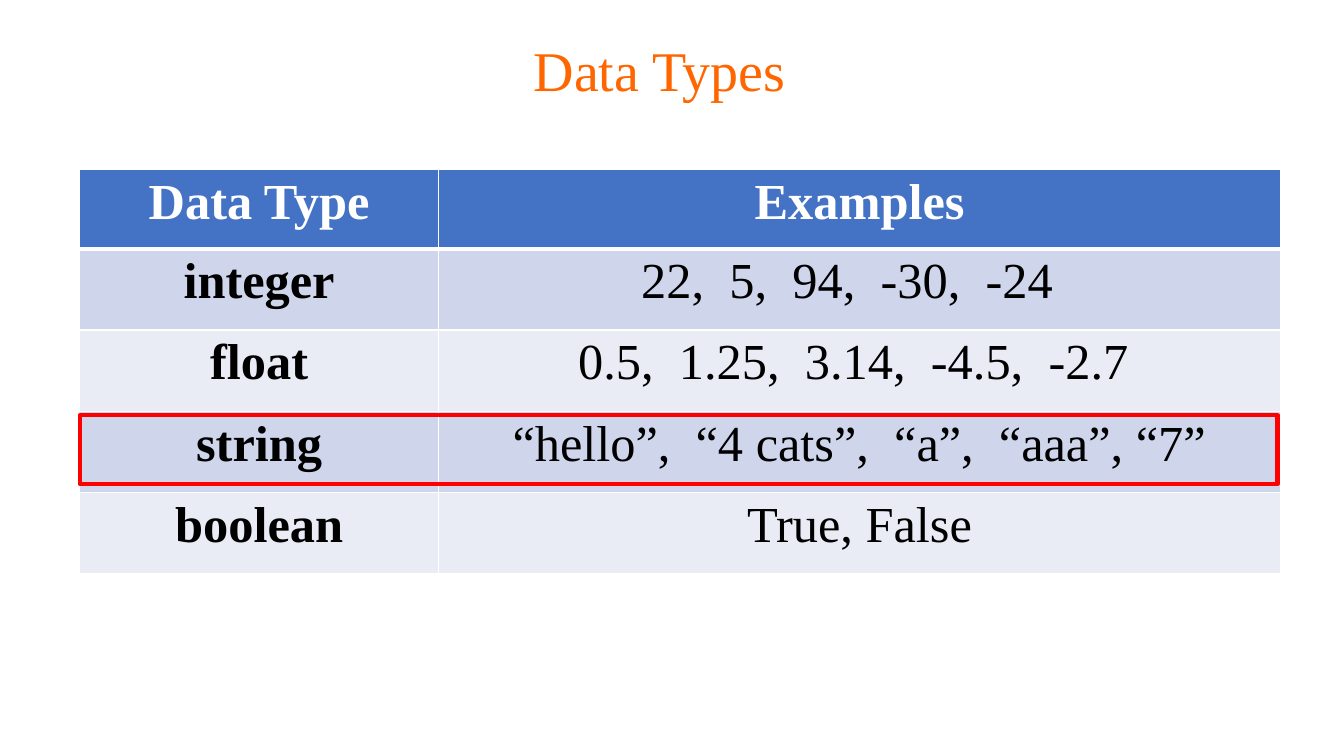
import pptx
import pptx.dml.color
import pptx.enum.shapes
import pptx.enum.text
import pptx.oxml
import pptx.oxml.ns
import pptx.util

# Content
TITLE = "Data Types"
ROWS = [
    ("Data Type", "Examples"),
    ("integer", "22,  5,  94,  -30,  -24  "),
    ("float", "0.5,  1.25,  3.14,  -4.5,  -2.7 "),
    ("string", "“hello”,  “4 cats”,  “a”,  “aaa”, “7”"),
    ("boolean", "True, False"),
]

# Format
COLORS = {
    "title": "FF6600", "header": "4472C4", "odd": "CFD5EA", "even": "E9EBF5",
    "white": "FFFFFF", "text": "000000", "highlight": "FF0000",
}
FONT = "Times New Roman"
TITLE_SIZE, CELL_SIZE = 40, 36

# Grid, in inches
LEFT = 0.79
TABLE_TOP = 1.68
COLUMN_WIDTHS = (3.56, 8.35)
HEADER_HEIGHT, ROW_HEIGHT = 0.79, 0.805
HIGHLIGHT_ROW = 3


def rgb(name):
    return pptx.dml.color.RGBColor.from_string(COLORS[name])


def inches(*values):
    return [pptx.util.Inches(value) for value in values]


def write(text_frame, text, size, color, bold=False):
    text_frame.text = text
    paragraph = text_frame.paragraphs[0]
    paragraph.alignment = pptx.enum.text.PP_ALIGN.CENTER
    font = paragraph.runs[0].font
    formats = {"name": FONT, "size": pptx.util.Pt(size), "bold": bold}
    for attribute, value in formats.items():
        setattr(font, attribute, value)
    font.color.rgb = rgb(color)
    return paragraph


def add_borders(cell, widths):
    properties = cell._tc.get_or_add_tcPr()
    for side, points in widths.items():
        properties.append(pptx.oxml.parse_xml(
            f'<a:ln{side} {pptx.oxml.ns.nsdecls("a")} w="{pptx.util.Pt(points)}">'
            f'<a:solidFill><a:srgbClr val="{COLORS["white"]}"/></a:solidFill>'
            f'</a:ln{side}>'))


presentation = pptx.Presentation()
presentation.slide_width, presentation.slide_height = inches(13.33, 7.5)
slide = presentation.slides.add_slide(presentation.slide_layouts.get_by_name("Title Only"))

# Title
title = slide.shapes.title
title.left, title.top, title.width, title.height = inches(LEFT, 0, 11.5, 1.45)
title.text_frame.vertical_anchor = pptx.enum.text.MSO_ANCHOR.MIDDLE
write(title.text_frame, TITLE, TITLE_SIZE, "title").line_spacing = 0.9

# Table
row_heights = [HEADER_HEIGHT] + [ROW_HEIGHT] * (len(ROWS) - 1)
table = slide.shapes.add_table(
    len(ROWS), len(COLUMN_WIDTHS),
    *inches(LEFT, TABLE_TOP, sum(COLUMN_WIDTHS), sum(row_heights))).table
for column, width in zip(table.columns, inches(*COLUMN_WIDTHS)):
    column.width = width
for row, height in zip(table.rows, inches(*row_heights)):
    row.height = height

for row_index, row_texts in enumerate(ROWS):
    is_header = row_index == 0
    band = "header" if is_header else "odd" if row_index % 2 else "even"
    for column_index, text in enumerate(row_texts):
        cell = table.cell(row_index, column_index)
        write(cell.text_frame, text, CELL_SIZE, "white" if is_header else "text",
              bold=is_header or column_index == 0)
        add_borders(cell, {"L": 1, "R": 1, "T": 3 if row_index == 1 else 1,
                           "B": 3 if is_header else 1})
        cell.fill.solid()
        cell.fill.fore_color.rgb = rgb(band)

# Frame around the string row
frame_top = TABLE_TOP + sum(row_heights[:HIGHLIGHT_ROW]) + 0.04
frame = slide.shapes.add_shape(
    pptx.enum.shapes.MSO_SHAPE.RECTANGLE,
    *inches(LEFT, frame_top, sum(COLUMN_WIDTHS) - 0.03, 0.68))
frame.shadow.inherit = False
frame.fill.background()
frame.line.color.rgb = rgb("highlight")
frame.line.width = pptx.util.Pt(3)

presentation.save("out.pptx")
